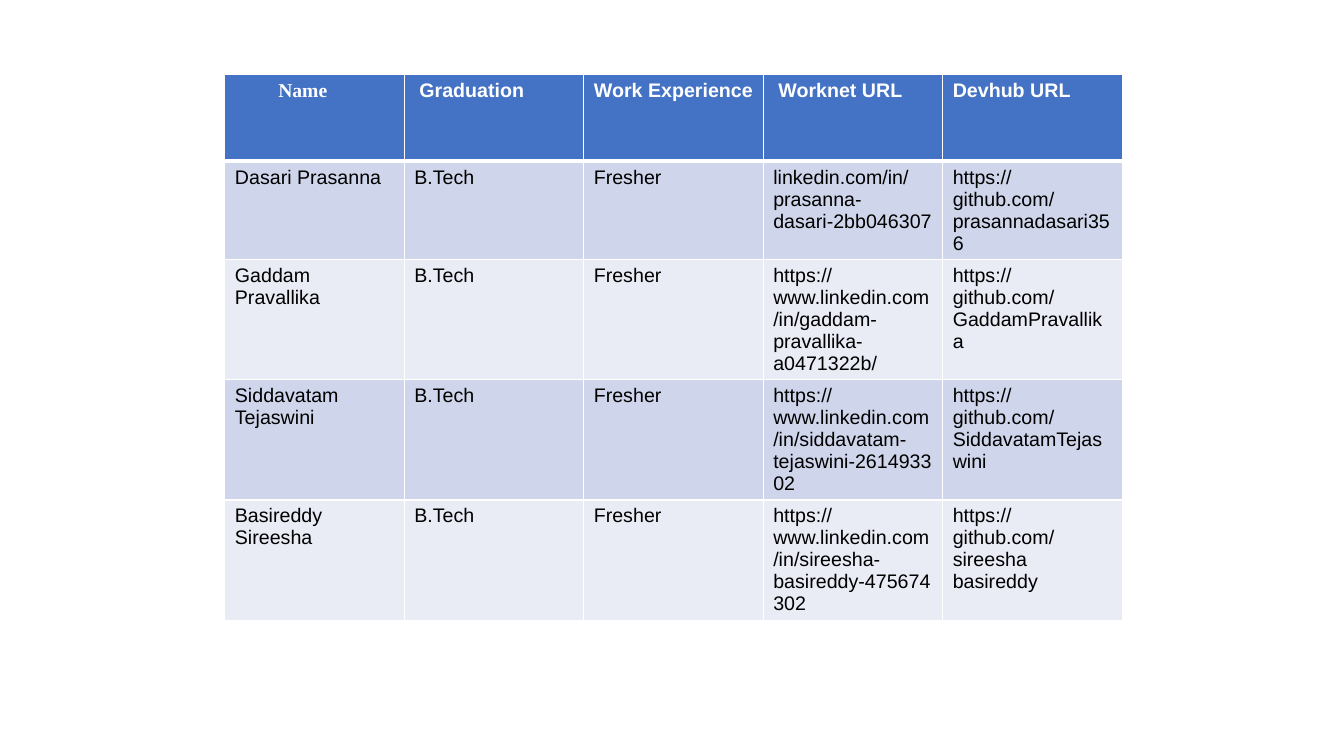
"""Build a slide with a table of team members and their profiles."""
from lxml.etree import SubElement as Sub
from pptx import Presentation
from pptx.dml.color import RGBColor as RGB
from pptx.enum.text import PP_ALIGN as Align
from pptx.oxml.ns import qn
from pptx.util import Inches, Pt

HEADS = [
    ("Name", "Times New Roman", 0.43),
    ("Graduation", "Arial", 0.05),
    ("Work Experience", "Arial", 0),
    ("Worknet URL", "Arial", 0.05),
    ("Devhub URL", "Arial", 0),
]
DEGREE, LEVEL = "B.Tech", "Fresher"
PEOPLE = [
    ("Dasari Prasanna", "linkedin.com/in/prasanna-dasari-2bb046307",
     "https://github.com/prasannadasari356"),
    ("Gaddam Pravallika",
     "https://www.linkedin.com/in/gaddam-pravallika-a0471322b/",
     "https://github.com/GaddamPravallika"),
    ("Siddavatam Tejaswini",
     "https://www.linkedin.com/in/siddavatam-tejaswini-261493302",
     "https://github.com/SiddavatamTejaswini"),
    ("Basireddy Sireesha",
     "https://www.linkedin.com/in/sireesha-basireddy-475674302",
     "https://github.com/sireesha basireddy"),
]
COLORS = {"head": "4472C4", "odd": "CFD5EA", "even": "E9EBF5",
          "white": "FFFFFF", "black": "000000"}
LEFT, TOP, COL, ROW = 2.23, 0.74, 1.78, 0.86


def add_edges(cell, row):
    """Draw the white borders, thicker below the header."""
    props = cell._tc.get_or_add_tcPr()
    for side in "LRTB":
        thick = (row, side) in ((0, "B"), (1, "T"))
        line = Sub(props, qn(f"a:ln{side}"), w=str(Pt(3 if thick else 1)))
        fill = Sub(line, qn("a:solidFill"))
        Sub(fill, qn("a:srgbClr"), val=COLORS["white"])


def fill_cell(cell, row, text, face="Arial", indent=0):
    """Write and style one table cell."""
    head = row == 0
    tone = "head" if head else "odd" if row % 2 else "even"
    add_edges(cell, row)
    cell.fill.solid()
    cell.fill.fore_color.rgb = RGB.from_string(COLORS[tone])
    cell.text = text
    para = cell.text_frame.paragraphs[0]
    para.alignment = Align.LEFT
    if indent:
        props = para._p.get_or_add_pPr()
        props.set("marL", str(Inches(indent)))
        props.set("indent", "0")
    font = para.font
    font.name, font.size, font.bold = face, Pt(14), head
    font.color.rgb = RGB.from_string(COLORS["white" if head else "black"])


def main():
    """Lay out the table and save the deck."""
    deck = Presentation()
    deck.slide_width, deck.slide_height = Inches(13.33), Inches(7.5)
    slide = deck.slides.add_slide(deck.slide_layouts[6])
    rows, cols = len(PEOPLE) + 1, len(HEADS)
    table = slide.shapes.add_table(
        rows, cols, Inches(LEFT), Inches(TOP),
        Inches(COL * cols), Inches(ROW * rows)).table
    for c, (text, face, indent) in enumerate(HEADS):
        fill_cell(table.cell(0, c), 0, text, face, indent)
    for r, (name, work, code) in enumerate(PEOPLE, 1):
        for c, text in enumerate((name, DEGREE, LEVEL, work, code)):
            fill_cell(table.cell(r, c), r, text)
    deck.save("out.pptx")


if __name__ == "__main__":
    main()
